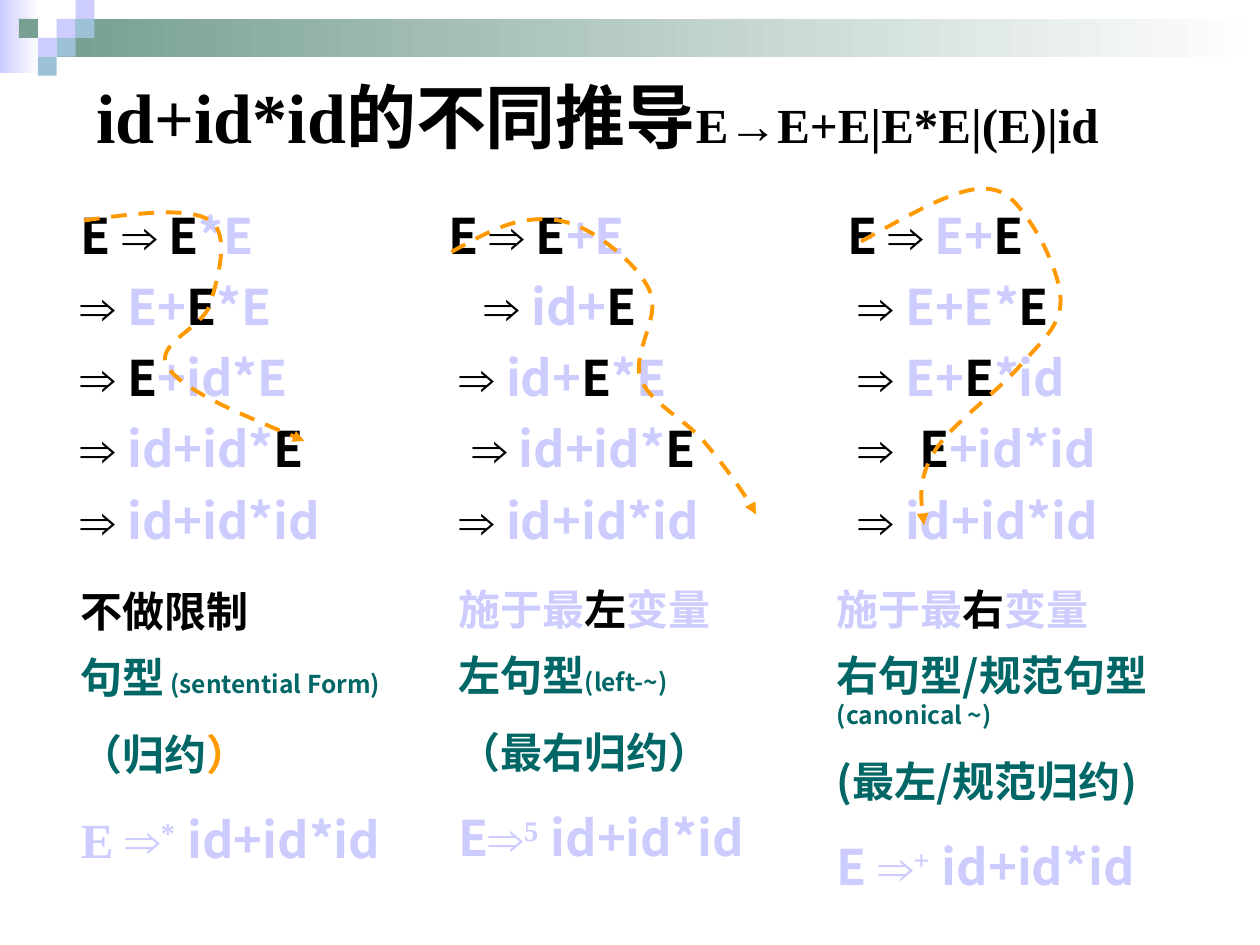
from dataclasses import dataclass

from lxml.etree import SubElement
from pptx import Presentation
from pptx.dml.color import RGBColor
from pptx.enum.dml import MSO_LINE
from pptx.enum.shapes import MSO_SHAPE as SHAPE
from pptx.enum.text import MSO_ANCHOR as ANCHOR
from pptx.oxml.ns import qn
from pptx.util import Inches, Pt


@dataclass(frozen=True)
class Theme:
    black: str = "000000"
    white: str = "FFFFFF"
    lavender: str = "CCCCFF"
    sage: str = "779F92"
    sky: str = "9DC2D7"
    teal: str = "006666"
    orange: str = "FF9900"
    sans: str = "Noto Sans CJK SC"
    serif: str = "Times New Roman"
    symbol: str = "Arial"
    title: int = 40
    formula: int = 28
    body: int = 24
    note: int = 14


T = Theme()
COLS, ROWS = 120, 90
TILE = 1.8


def span(text, color=T.lavender, size=T.formula, font=T.sans, baseline=0, spacing=0):
    return dict(text=text, color=color, size=size, font=font, baseline=baseline, spacing=spacing)


class Canvas:
    def __init__(self, prs, theme):
        self.theme = theme
        self.s = prs.slides.add_slide(prs.slide_layouts[6])
        self.dx, self.dy = prs.slide_width / COLS, prs.slide_height / ROWS

    def place(self, x, y, w, h):
        return round(x * self.dx), round(y * self.dy), round(w * self.dx), round(h * self.dy)

    def block(self, box, *colors):
        sp = self.s.shapes.add_shape(SHAPE.RECTANGLE, *self.place(*box))
        sp.shadow.inherit = False
        sp.line.fill.background()
        if len(colors) == 1:
            sp.fill.solid()
            sp.fill.fore_color.rgb = RGBColor.from_string(colors[0])
            return
        sp.fill.gradient()
        sp.fill.gradient_angle = 0
        for stop, position, color in zip(sp.fill.gradient_stops, (0, 1), colors):
            stop.position = position
            stop.color.rgb = RGBColor.from_string(color)

    def text(self, box, paragraphs, anchor=ANCHOR.TOP):
        tf = self.s.shapes.add_textbox(*self.place(*box)).text_frame
        tf.word_wrap = True
        tf.vertical_anchor = anchor
        for i, (indent, before, spans) in enumerate(paragraphs):
            p = tf.paragraphs[0] if i == 0 else tf.add_paragraph()
            if i:
                p.space_before = Pt(before)
            p._p.get_or_add_pPr().set("marL", str(Inches(indent)))
            for item in spans:
                self.run(p, **item)

    def run(self, p, text, color, size, font, baseline, spacing):
        r = p.add_run()
        r.text = text
        r.font.name, r.font.size, r.font.bold = font, Pt(size), True
        r.font.color.rgb = RGBColor.from_string(color)
        rPr = r._r.get_or_add_rPr()
        SubElement(rPr, qn("a:ea")).set("typeface", self.theme.sans)
        if baseline:
            rPr.set("baseline", str(baseline * 1000))
        if spacing:
            rPr.set("spc", str(spacing * 100))

    def curve(self, points):
        start, *rest = [self.place(x, y, 0, 0)[:2] for x, y in points]
        builder = self.s.shapes.build_freeform(*start)
        builder.add_line_segments(rest, close=False)
        sp = builder.convert_to_shape()
        sp.shadow.inherit = False
        sp.fill.background()
        sp.line.color.rgb = RGBColor.from_string(self.theme.orange)
        sp.line.width = Pt(2.25)
        sp.line.dash_style = MSO_LINE.DASH
        SubElement(sp.line._get_or_add_ln(), qn("a:tailEnd")).set("type", "triangle")
        segments = list(sp._element.iter(qn("a:lnTo")))
        outline = segments[0].getparent()
        for i in range(0, len(segments), 3):
            bezier = SubElement(outline, qn("a:cubicBezTo"))
            for segment in segments[i:i + 3]:
                bezier.append(segment[0])
                outline.remove(segment)


def derivation(steps):
    rows = []
    for i, (offset, body, spacing) in enumerate(steps):
        lead = [] if i else [span("E ", T.black)]
        arrow = [span("⇒", T.black, font=T.symbol, spacing=spacing),
                 span(" ", T.black, spacing=spacing)]
        parts = [span(part, T.black if k % 2 else T.lavender)
                 for k, part in enumerate(body.split("|")) if part]
        rows.append((0.21 + offset, 7, [*lead, *arrow, *parts]))
    return rows


def summary(rule, form, reduction, start, power):
    result = [start, span("⇒", font=T.symbol), span(power, font=T.serif, baseline=30),
              span(" ", font=T.serif), span("id+id*id")]
    return [(0.21, before, spans) for before, spans in
            zip((15, 8.8, 15, 17.5), (rule, form, reduction, result))]


def body(text, color=T.teal):
    return span(text, color, T.body)


def note(text):
    return span(text, T.teal, T.note)


def rule(side):
    return [body("施于最", T.lavender), body(side, T.black), body("变量", T.lavender)]


TILES = [(3, 1, T.lavender), (4, 0, T.lavender), (4, 1, T.sky), (2, 2, T.lavender),
         (1, 1, T.sage), (3, 2, T.sky), (2, 3, T.sky)]

DERIVATIONS = [
    ((39, 19, 35, 34), [(0, "|E|+E", 0), (0.29, "id+|E|", 0), (0.09, "id+|E|*E", 0),
                        (0.19, "id+id*|E|", 0), (0.09, "id+id*id", 0)]),
    ((77, 19, 38, 34), [(0, "E+|E|", 0), (0.09, "E+E*|E|", 0), (0.09, "E+|E|*id", 0),
                        (0.09, "|E|+id*id", 4), (0.09, "id+id*id", 0)]),
    ((4, 19, 39, 34), [(0, "|E|*E", 0), (0, "E+|E|*E", 0), (0, "|E|+id*E", 0),
                       (0, "id+id*|E|", 0), (0, "id+id*id", 0)]),
]

SUMMARIES = [
    ((4, 55.2, 36, 28), summary(
        [body("不做限制", T.black)], [body("句型"), note(" (sentential Form)")],
        [body("（归约"), body("）", T.orange)], span("E ", font=T.serif), "*")),
    ((76, 55, 40, 31), summary(
        rule("右"), [body("右句型/规范句型 "), note("(canonical ~)")],
        [body("(最左/规范归约)")], span("E "), "+")),
    ((40, 55, 34, 28), summary(
        rule("左"), [body("左句型"), note("(left-~)")],
        [body("（最右归约）")], span("E"), "5")),
]

CURVES = [
    [(8, 21), (13, 20.3), (18, 19.7), (20, 21), (22, 22.3), (20.7, 26.7), (20, 29),
     (19.3, 31.3), (14.5, 32.8), (16, 35), (17.5, 37.2), (23.3, 39.6), (29, 42)],
    [(43, 24), (45.3, 22.7), (47.9, 21.3), (50, 21), (52.1, 20.7), (54, 20.9), (56, 22),
     (58, 23.1), (61.2, 25.7), (62, 28), (62.8, 30.3), (60.2, 33.7), (61, 36),
     (61.8, 38.3), (65.2, 39.9), (67, 42), (68.8, 44.1), (71.5, 47.8), (72, 49)],
    [(82, 23), (86.2, 20.7), (90.3, 18.3), (93, 18), (95.7, 17.7), (96.7, 19.2), (98, 21),
     (99.3, 22.8), (101.2, 26.7), (101, 29), (100.8, 31.3), (99, 32.7), (97, 35),
     (95, 37.3), (90.5, 40.5), (89, 43), (87.5, 45.5), (87.7, 47.8), (88, 50)],
]


def main():
    prs = Presentation()
    prs.slide_width, prs.slide_height = Inches(10), Inches(7.5)
    canvas = Canvas(prs, T)
    canvas.block((0, 0, 3.7, 7), T.lavender, T.white)
    canvas.block((3 * TILE, TILE, COLS - 3 * TILE, 2 * TILE), T.sage, T.white)
    for col, row, color in TILES:
        canvas.block((col * TILE, row * TILE, TILE, TILE), color)
    title = [span("id+id*id的不同推导", T.black, T.title, T.serif),
             span("E→E+E|E*E|(E)|id", T.black, T.formula, T.serif)]
    canvas.text((8, 7, 107, 8), [(0, 0, title)], ANCHOR.MIDDLE)
    for box, steps in DERIVATIONS:
        canvas.text(box, derivation(steps))
    for box, paragraphs in SUMMARIES:
        canvas.text(box, paragraphs)
    for points in CURVES:
        canvas.curve(points)
    prs.save("out.pptx")


if __name__ == "__main__":
    main()
